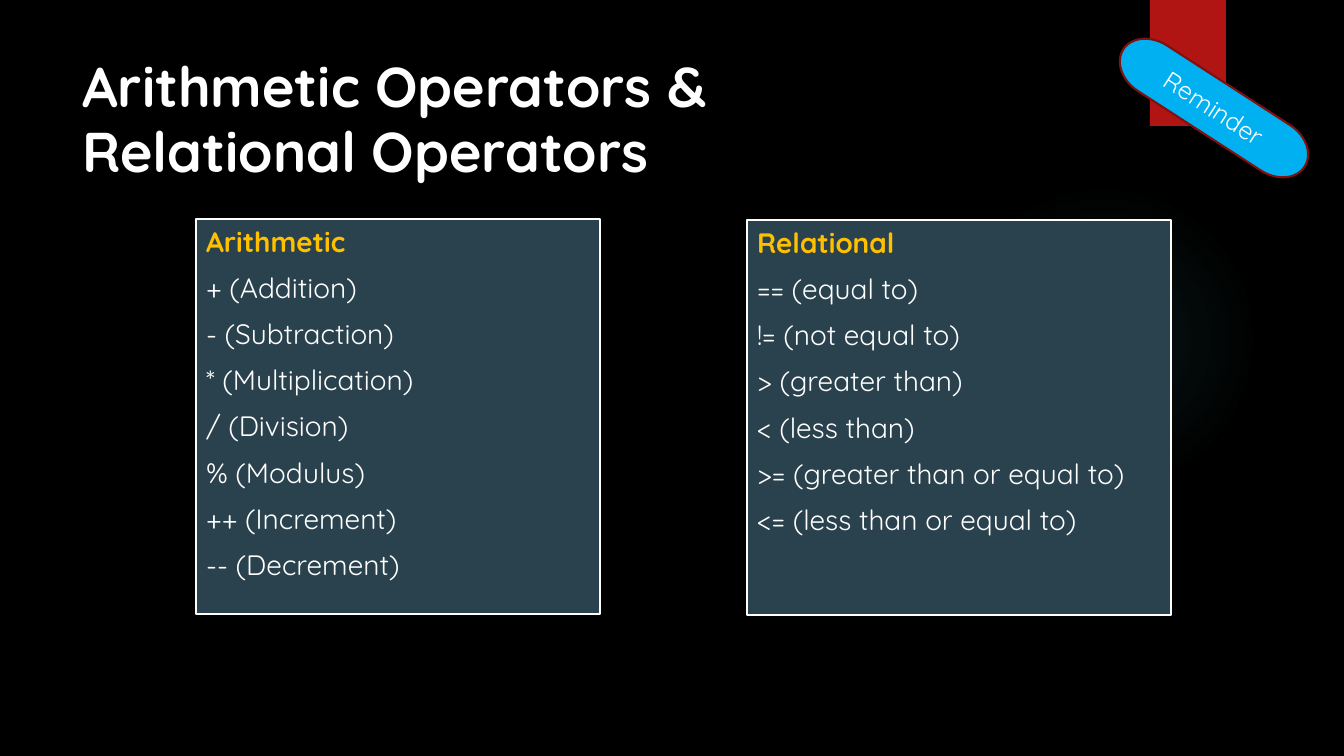
from pptx import Presentation
from pptx import util as u
from pptx.dml.color import RGBColor
from pptx.enum import shapes, text
from pptx.oxml import parse_xml
from pptx.oxml.ns import nsdecls, qn

PX = 914400 / 100.8
FONT = "Quicksand"
BLACK = RGBColor(0x00, 0x00, 0x00)
WHITE = RGBColor(0xFF, 0xFF, 0xFF)
SLATE = RGBColor(0x2A, 0x42, 0x4D)
AMBER = RGBColor(0xFF, 0xC0, 0x00)
RED = RGBColor(0xB0, 0x15, 0x13)
DARK_RED = RGBColor(0x82, 0x10, 0x0E)
SKY = RGBColor(0x00, 0xB0, 0xF0)
TEAL = RGBColor(0x50, 0xB9, 0xC1)

ARITHMETIC = ["Arithmetic", "+ (Addition)", "- (Subtraction)", "* (Multiplication)",
              "/ (Division)", "% (Modulus)", "++ (Increment)", "-- (Decrement)"]
RELATIONAL = ["Relational", "== (equal to)", "!= (not equal to)", "> (greater than)",
              "< (less than)", ">= (greater than or equal to)",
              "<= (less than or equal to)"]


def px(n):
    return u.Emu(round(n * PX))


def place(sp, box):
    sp.left, sp.top, sp.width, sp.height = map(px, box)


def add_run(p, words, size, color=WHITE, bold=False):
    r = p.add_run()
    r.text = words
    r.font.name, r.font.size, r.font.bold = FONT, u.Pt(size), bold
    r.font.color.rgb = color


def paint(sp, fill, line=None, width=1):
    sp.fill.solid()
    sp.fill.fore_color.rgb = fill
    if line is None:
        sp.line.fill.background()
    else:
        sp.line.color.rgb = line
        sp.line.width = u.Pt(width)


def add_preset(s, kind, box):
    sp = s.shapes.add_shape(kind, *map(px, box))
    sp.shadow.inherit = False
    return sp


def add_glow(s, box):
    """Add a faint round light that fades outwards, behind everything else."""
    sp = add_preset(s, shapes.MSO_SHAPE.OVAL, box)
    sp.line.fill.background()
    sp.fill.background()
    stops = "".join(
        f'<a:gs pos="{pos * 1000}"><a:srgbClr val="{TEAL}">'
        f'<a:alpha val="{alpha * 1000}"/></a:srgbClr></a:gs>'
        for pos, alpha in [(0, 7), (36, 6), (69, 0)])
    gradient = parse_xml(
        f'<a:gradFill {nsdecls("a")}><a:gsLst>{stops}</a:gsLst><a:path path="circle">'
        '<a:fillToRect l="50000" t="50000" r="50000" b="50000"/></a:path></a:gradFill>')
    props = sp.element.spPr
    props.replace(props.find(qn("a:noFill")), gradient)
    s.shapes.title.element.addprevious(sp.element)


def fill_title(sp, box, lines):
    place(sp, box)
    tf = sp.text_frame
    tf.auto_size = text.MSO_AUTO_SIZE.NONE
    tf.vertical_anchor = text.MSO_ANCHOR.TOP
    p = tf.paragraphs[0]
    p.alignment = text.PP_ALIGN.LEFT
    p.line_spacing = 0.97
    for i, line in enumerate(lines):
        if i:
            p.add_line_break()
        add_run(p, line, 40, bold=True)


def fill_panel(sp, box, items):
    """Write a list whose first item is the heading."""
    place(sp, box)
    paint(sp, SLATE, WHITE)
    tf = sp.text_frame
    tf.auto_size = text.MSO_AUTO_SIZE.NONE
    tf.vertical_anchor = text.MSO_ANCHOR.TOP
    for i, item in enumerate(items):
        p = tf.add_paragraph() if i else tf.paragraphs[0]
        props = p._p.get_or_add_pPr()
        props.set("marL", "0")
        props.set("indent", "0")
        props.append(parse_xml(f'<a:buNone {nsdecls("a")}/>'))
        p.space_before = u.Pt(9 if i else 0)
        add_run(p, item, 20, WHITE if i else AMBER, bold=not i)


def add_reminder(s, box):
    sp = add_preset(s, shapes.MSO_SHAPE.FLOWCHART_TERMINATOR, box)
    paint(sp, SKY, DARK_RED, 1.5)
    sp.rotation = 32.9
    tf = sp.text_frame
    tf.vertical_anchor = text.MSO_ANCHOR.MIDDLE
    p = tf.paragraphs[0]
    p.alignment = text.PP_ALIGN.CENTER
    add_run(p, "Reminder", 18)


def main():
    prs = Presentation()
    prs.slide_width, prs.slide_height = px(1344), px(756)
    s = prs.slides.add_slide(prs.slide_layouts[3])
    s.background.fill.solid()
    s.background.fill.fore_color.rgb = BLACK

    title, left, right = s.placeholders
    add_glow(s, (949, 184, 310, 310))
    ribbon = add_preset(s, shapes.MSO_SHAPE.RECTANGLE, (1150, 0, 76, 126))
    paint(ribbon, RED)
    fill_title(title, (72, 50, 1037, 154),
               ["Arithmetic Operators &", "Relational Operators"])
    fill_panel(left, (196, 219, 404, 395), ARITHMETIC)
    fill_panel(right, (747, 220, 424, 395), RELATIONAL)
    add_reminder(s, (1106, 81, 216, 54))
    prs.save("out.pptx")


if __name__ == "__main__":
    main()
